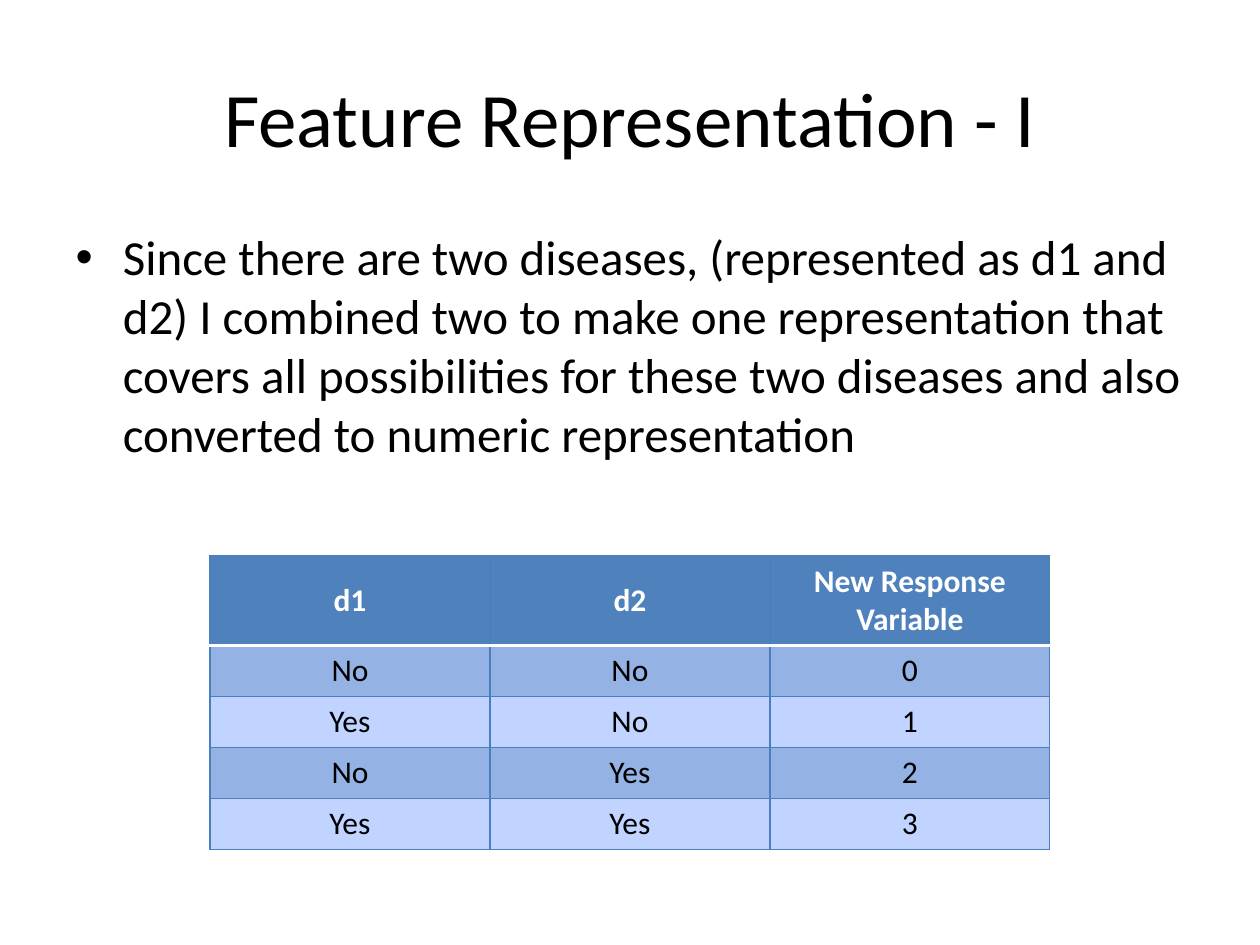
from dataclasses import dataclass
from lxml.etree import SubElement
from pptx import Presentation
from pptx.dml.color import RGBColor as Color
from pptx.enum.text import MSO_ANCHOR as Anchor, PP_ALIGN as Align
from pptx.oxml.ns import qn
from pptx.util import Inches, Pt


@dataclass(frozen=True)
class Theme:
    font: str = "Calibri"
    ink: str = "000000"
    paper: str = "FFFFFF"
    header: str = "4F81BD"
    bands: tuple = ("94B2E4", "C0D4FF")
    border: str = "4B7EBC"
    border_width: float = 0.75
    header_rule: float = 2
    title_size: int = 44
    body_size: int = 28
    table_size: int = 18


THEME = Theme()
SLIDE_WIDTH, SLIDE_HEIGHT = 10, 7.5
TITLE = "Feature Representation - I"
BODY = ("Since there are two diseases, (represented as d1 and d2) I combined two "
        "to make one representation that covers all possibilities for these two "
        "diseases and also converted to numeric representation")
RESPONSES = [
    ("d1", "d2", "New Response Variable"),
    ("No", "No", "0"),
    ("Yes", "No", "1"),
    ("No", "Yes", "2"),
    ("Yes", "Yes", "3"),
]


def apply_format(target, values):
    for name, value in values.items():
        setattr(target, name, value)


def write_text(frame, text, size, color, bold=False, align=None):
    paragraph = frame.paragraphs[0]
    paragraph.alignment = align
    run = paragraph.add_run()
    run.text = text
    apply_format(run.font, {"name": THEME.font, "size": Pt(size), "bold": bold})
    run.font.color.rgb = Color.from_string(color)


def place(shape, box):
    names = ("left", "top", "width", "height")
    apply_format(shape, dict(zip(names, map(Inches, box))))


def fill_title(shape, box):
    place(shape, box)
    shape.text_frame.vertical_anchor = Anchor.MIDDLE
    write_text(shape.text_frame, TITLE, THEME.title_size, THEME.ink, align=Align.CENTER)


def fill_body(shape, box):
    place(shape, box)
    write_text(shape.text_frame, BODY, THEME.body_size, THEME.ink)


def draw_borders(cell, edges):
    properties = cell._tc.get_or_add_tcPr()
    for edge, (color, width) in edges.items():
        line = SubElement(properties, qn(f"a:ln{edge}"), w=str(Pt(width)))
        fill = SubElement(line, qn("a:solidFill"))
        SubElement(fill, qn("a:srgbClr"), val=color)


def format_cell(cell, text, row):
    is_header = row == 0
    edges = dict.fromkeys("LRTB", (THEME.border, THEME.border_width))
    if row < 2:
        edges["B" if is_header else "T"] = (THEME.paper, THEME.header_rule)
    draw_borders(cell, edges)
    cell.fill.solid()
    fill = THEME.header if is_header else THEME.bands[(row - 1) % 2]
    cell.fill.fore_color.rgb = Color.from_string(fill)
    cell.vertical_anchor = Anchor.MIDDLE
    write_text(cell.text_frame, text, THEME.table_size,
               THEME.paper if is_header else THEME.ink, is_header, Align.CENTER)


def add_response_table(slide, box, header_share=0.3):
    left, top, width, height = map(Inches, box)
    rows, columns = len(RESPONSES), len(RESPONSES[0])
    table = slide.shapes.add_table(rows, columns, left, top, width, height).table
    header_height = int(height * header_share)
    row_height = (height - header_height) // (rows - 1)
    for row, values in enumerate(RESPONSES):
        table.rows[row].height = row_height if row else header_height
        for column, text in enumerate(values):
            format_cell(table.cell(row, column), text, row)


def build_slide(presentation):
    slide = presentation.slides.add_slide(presentation.slide_layouts[1])
    margin = SLIDE_WIDTH * 0.05
    content_width = SLIDE_WIDTH - 2 * margin
    fill_title(slide.shapes.title, (margin, SLIDE_HEIGHT * 0.04, content_width, 1.25))
    fill_body(slide.placeholders[1], (margin, 1.75, content_width, SLIDE_HEIGHT * 0.66))
    add_response_table(slide, (SLIDE_WIDTH / 6, 4.41, SLIDE_WIDTH * 2 / 3, 2.32))


presentation = Presentation()
apply_format(presentation, {"slide_width": Inches(SLIDE_WIDTH),
                            "slide_height": Inches(SLIDE_HEIGHT)})
build_slide(presentation)
presentation.save("out.pptx")
